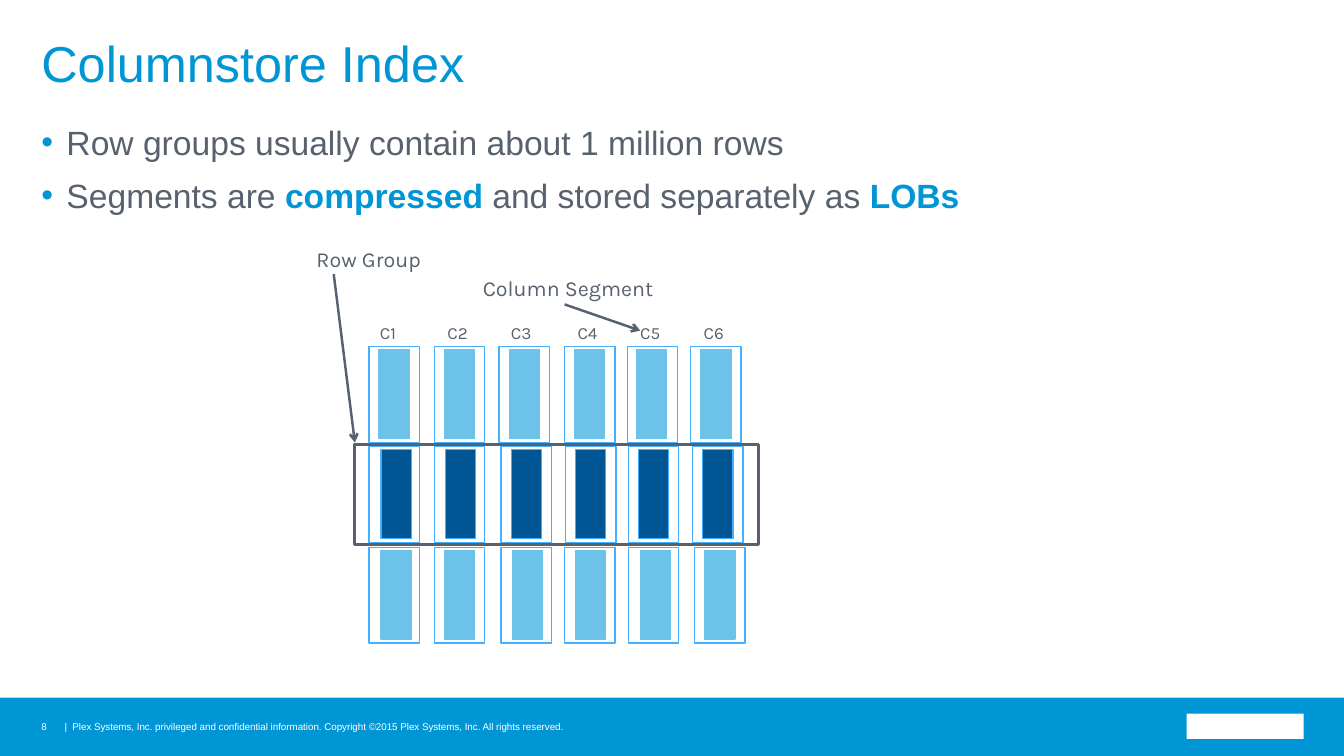
from lxml import etree
from pptx import Presentation
from pptx.dml.color import RGBColor
from pptx.enum.shapes import MSO_CONNECTOR, MSO_SHAPE
from pptx.enum.text import MSO_ANCHOR, MSO_AUTO_SIZE, PP_ALIGN
from pptx.oxml.ns import qn
from pptx.util import Inches, Pt

RECT = MSO_SHAPE.RECTANGLE
STRAIGHT = MSO_CONNECTOR.STRAIGHT
TOP, MIDDLE = MSO_ANCHOR.TOP, MSO_ANCHOR.MIDDLE
LEFT = PP_ALIGN.LEFT
NO_FIT = MSO_AUTO_SIZE.NONE

COLORS = {
    "blue": "0096D5",
    "gray": "57626E",
    "white": "FFFFFF",
    "light": "6DC2E9",
    "dark": "005694",
    "frame": "44B0FF",
}
FRAME_TOPS = (3.44, 4.43, 5.43)
BAR_TOPS = (3.47, 4.46, 5.46)
BAR_STYLES = (("light", "light"), ("dark", "frame"), ("light", "light"))
COLUMNS = [
    ("C1", 3.67, (3.66, 3.66, 3.66), (3.76, 3.78, 3.78)),
    ("C2", 4.34, (4.31, 4.31, 4.31), (4.41, 4.42, 4.41)),
    ("C3", 4.97, (4.95, 4.97, 4.97), (5.05, 5.07, 5.08)),
    ("C4", 5.63, (5.6, 5.61, 5.6), (5.7, 5.71, 5.71)),
    ("C5", 6.25, (6.22, 6.23, 6.23), (6.31, 6.33, 6.35)),
    ("C6", 6.88, (6.85, 6.87, 6.89), (6.95, 6.97, 6.99)),
]
BULLETS = [
    [("Row groups usually contain about 1 million rows", False)],
    [("Segments are ", False), ("compressed ", True),
     ("and stored separately as ", False), ("LOBs", True)],
]


class Deck:
    """Draws styled elements on the current slide."""

    def __init__(self, slide):
        self.s = slide

    def rgb(self, color):
        return RGBColor.from_string(COLORS[color])

    def run(self, p, text, size, color, font="Arial", bold=False):
        r = p.add_run()
        r.text = text
        r.font.name = font
        r.font.size = Pt(size)
        r.font.bold = bold
        r.font.color.rgb = self.rgb(color)

    def frame(self, sp, anchor, inset=(0, 0)):
        tf = sp.text_frame
        tf.word_wrap = True
        tf.auto_size = NO_FIT
        tf.vertical_anchor = anchor
        tf.margin_left = tf.margin_right = Inches(inset[0])
        tf.margin_top = tf.margin_bottom = Inches(inset[1])
        return tf

    def title(self, text, x, y, w, h):
        sp = self.s.shapes.title
        sp.left, sp.top, sp.width, sp.height = map(Inches, (x, y, w, h))
        p = self.frame(sp, MIDDLE).paragraphs[0]
        p.alignment = LEFT
        p.line_spacing = 0.9
        self.run(p, text, 36, "blue")

    def text(self, text, x, y, w, h, size, color, font="Arial",
             anchor=MIDDLE, inset=(0, 0)):
        sp = self.s.shapes.add_textbox(*map(Inches, (x, y, w, h)))
        p = self.frame(sp, anchor, inset).paragraphs[0]
        self.run(p, text, size, color, font)

    def label(self, text, x, y, w, h, size):
        self.text(text, x, y, w, h, size, "gray", "Karla", TOP, (0.1, 0.05))

    def bullets(self, items, x, y, w, h):
        sp = self.s.shapes.add_textbox(*map(Inches, (x, y, w, h)))
        tf = self.frame(sp, TOP)
        for i, runs in enumerate(items):
            p = tf.add_paragraph() if i else tf.paragraphs[0]
            p.line_spacing = 0.9
            p.space_before = Pt(12 if i else 0)
            pPr = p._p.get_or_add_pPr()
            pPr.set("marL", str(Inches(0.25)))
            pPr.set("indent", str(-Inches(0.25)))
            clr = etree.SubElement(pPr, qn("a:buClr"))
            etree.SubElement(clr, qn("a:srgbClr"), val=COLORS["blue"])
            etree.SubElement(pPr, qn("a:buFont"), typeface="Arial")
            etree.SubElement(pPr, qn("a:buChar"), char="•")
            for text, strong in runs:
                self.run(p, text, 24, "blue" if strong else "gray", bold=strong)

    def rect(self, x, y, w, h, fill=None, line=None, width=0.85):
        sp = self.s.shapes.add_shape(RECT, *map(Inches, (x, y, w, h)))
        sp.shadow.inherit = False
        if fill:
            sp.fill.solid()
            sp.fill.fore_color.rgb = self.rgb(fill)
        else:
            sp.fill.background()
        if line:
            sp.line.color.rgb = self.rgb(line)
            sp.line.width = Pt(width)
        else:
            sp.line.fill.background()

    def arrow(self, x1, y1, x2, y2):
        cx = self.s.shapes.add_connector(STRAIGHT, *map(Inches, (x1, y1, x2, y2)))
        cx.line.color.rgb = self.rgb("gray")
        cx.line.width = Pt(1.75)
        etree.SubElement(cx.line._get_or_add_ln(), qn("a:tailEnd"), type="arrow")
        etree.SubElement(cx._element.spPr, qn("a:effectLst"))


def main():
    prs = Presentation()
    prs.slide_width, prs.slide_height = Inches(13.33), Inches(7.5)
    d = Deck(prs.slides.add_slide(prs.slide_layouts[5]))

    d.rect(0, 6.92, 13.33, 0.58, "blue")
    d.rect(11.77, 7.08, 1.16, 0.25, "white")
    d.text("8", 0.41, 7.12, 0.21, 0.17, 7, "white")
    d.text("|  Plex Systems, Inc. privileged and confidential information. "
           "Copyright ©2015 Plex Systems, Inc. All rights reserved.",
           0.64, 7.12, 5, 0.17, 7, "white")

    d.title("Columnstore Index", 0.41, 0.42, 12.5, 0.48)
    d.bullets(BULLETS, 0.41, 1.25, 12.5, 5.25)

    for name, label_x, frame_xs, bar_xs in COLUMNS:
        d.label(name, label_x, 3.15, 0.6, 0.31, 12.2)
        for x, y, (fill, line) in zip(bar_xs, BAR_TOPS, BAR_STYLES):
            d.rect(x, y, 0.3, 0.88, fill, line)
        for x, y in zip(frame_xs, FRAME_TOPS):
            d.rect(x, y, 0.5, 0.95, line="frame")

    d.arrow(5.6, 3.02, 6.35, 3.28)
    d.rect(3.52, 4.41, 4, 0.99, line="gray", width=2.25)
    d.arrow(3.31, 2.72, 3.52, 4.39)
    d.label("Column Segment", 4.69, 2.68, 2.6, 0.37, 15.3)
    d.label("Row Group", 3.04, 2.39, 1.75, 0.37, 15.3)

    prs.save("out.pptx")


if __name__ == "__main__":
    main()
